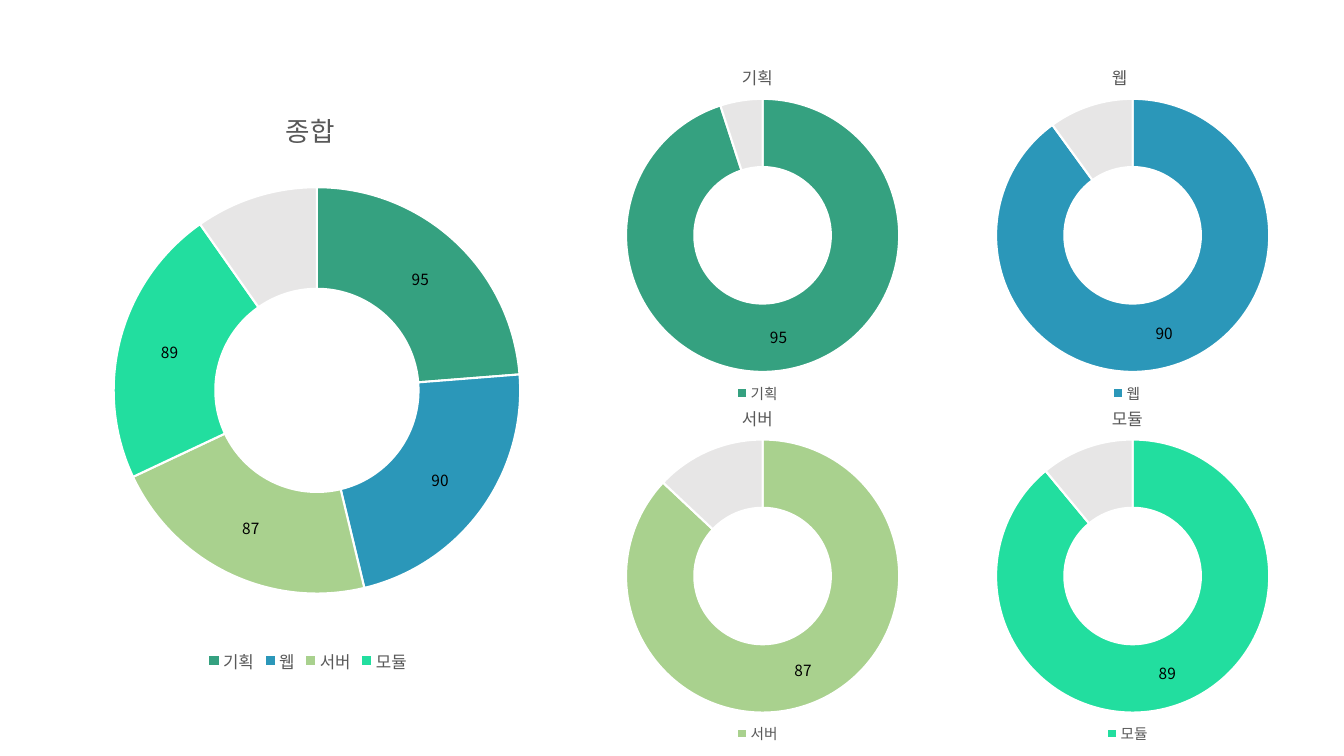
from lxml import etree
from pptx import Presentation
from pptx import util as u
from pptx.chart.data import CategoryChartData
from pptx.dml.color import RGBColor
from pptx.enum import chart as ch
from pptx.oxml import parse_xml
from pptx.oxml.ns import nsdecls, qn

FONT = "Noto Sans CJK KR"
COLORS = {
    "기획": "35A180",
    "웹": "2B97B9",
    "서버": "A9D18E",
    "모듈": "22DE9F",
    "총점": "E7E6E6",
    "text": "595959",
    "label": "000000",
    "border": "FFFFFF",
}
SCORES = {"기획": 95, "웹": 90, "서버": 87, "모듈": 89}
FULL_SCORE = 100
REMAINDER = "총점"

# Grid of the small charts, in inches
GRID_LEFT, GRID_TOP = 4.56, 0.23
COLUMN_STEP, ROW_STEP = 3.67, 3.38
SMALL_SIZE = (5.89, 4.05)
OVERALL_BOX = (-1.39, 0.79, 8.89, 5.93)


def color(name):
    return RGBColor.from_string(COLORS[name])


def style_font(font, size, color_name):
    font.size = u.Pt(size)
    font.bold = False
    font.color.rgb = color(color_name)
    font.name = FONT
    etree.SubElement(font._rPr, qn("a:ea")).set("typeface", FONT)


def set_layout(parent, before, inner=False, **shares):
    """Place a chart part by shares of the chart's size."""
    for old in parent.findall(qn("c:layout")):
        parent.remove(old)
    layout = parse_xml(f"<c:layout {nsdecls('c')}><c:manualLayout/></c:layout>")
    entries = [("layoutTarget", "inner")] if inner else []
    entries += [(f"{key}Mode", "edge") for key in ("x", "y")]
    entries += list(shares.items())
    for tag, value in entries:
        etree.SubElement(layout[0], qn(f"c:{tag}")).set("val", str(value))
    parent.find(qn(f"c:{before}")).addprevious(layout)


def hidden_entry(tag, index):
    return parse_xml(
        f'<c:{tag} {nsdecls("c")}><c:idx val="{index}"/>'
        f'<c:delete val="1"/></c:{tag}>'
    )


def add_title(chart, title, size, top):
    chart.has_title = True
    frame = chart.chart_title.text_frame
    frame.text = title
    style_font(frame.paragraphs[0].runs[0].font, size, "text")
    set_layout(chart.chart_title._element, "overlay", x=0.47, y=top)


def add_legend(chart, size, hidden_index, position):
    chart.has_legend = True
    legend = chart.legend
    legend.position = ch.XL_LEGEND_POSITION.BOTTOM
    legend.include_in_layout = False
    style_font(legend.font, size, "text")
    element = legend._element
    element.find(qn("c:legendPos")).addnext(
        hidden_entry("legendEntry", hidden_index))
    if position:
        set_layout(element, "overlay", x=position[0], y=position[1])


def style_ring(chart, names):
    plot = chart.plots[0]
    plot.vary_by_categories = True
    plot._element.find(qn("c:holeSize")).set("val", "75")
    set_layout(plot._element.getparent(), "doughnutChart", inner=True,
               x=0.28, y=0.18, w=0.46, h=0.68)
    series = plot.series[0]
    for index, name in enumerate(names):
        slice_format = series.points[index].format
        slice_format.fill.solid()
        slice_format.fill.fore_color.rgb = color(name)
        slice_format.line.color.rgb = color("border")
        slice_format.line.width = u.Pt(1.5)
    labels = series.data_labels
    labels.show_value = True
    style_font(labels.font, 11, "label")
    labels._element.insert(0, hidden_entry("dLbl", len(names) - 1))


def add_doughnut(slide, box, title, scores, title_size, title_top,
                 legend_size, legend_position=None):
    rest = FULL_SCORE * len(scores) - sum(scores.values())
    values = {**scores, REMAINDER: rest}
    data = CategoryChartData()
    data.categories = list(values)
    data.add_series("Series 1", list(values.values()))
    chart = slide.shapes.add_chart(
        ch.XL_CHART_TYPE.DOUGHNUT, *map(u.Inches, box), data).chart
    style_font(chart.font, 10, "label")
    add_title(chart, title, title_size, title_top)
    add_legend(chart, legend_size, len(scores), legend_position)
    style_ring(chart, list(values))


def main():
    presentation = Presentation()
    presentation.slide_width = u.Inches(13.33)
    presentation.slide_height = u.Inches(7.5)
    slide = presentation.slides.add_slide(presentation.slide_layouts[6])

    # Overall score
    add_doughnut(slide, OVERALL_BOX, "종합", SCORES, 19, 0.04, 12)

    # One chart per area, two by two
    for index, (name, score) in enumerate(SCORES.items()):
        row, column = divmod(index, 2)
        box = (GRID_LEFT + column * COLUMN_STEP,
               GRID_TOP + row * ROW_STEP, *SMALL_SIZE)
        legend_left = round(0.48 - 0.01 * len(name), 2)
        add_doughnut(slide, box, name, {name: score}, 12, 0.09, 10.5,
                     (legend_left, 0.87))

    presentation.save("out.pptx")


if __name__ == "__main__":
    main()
